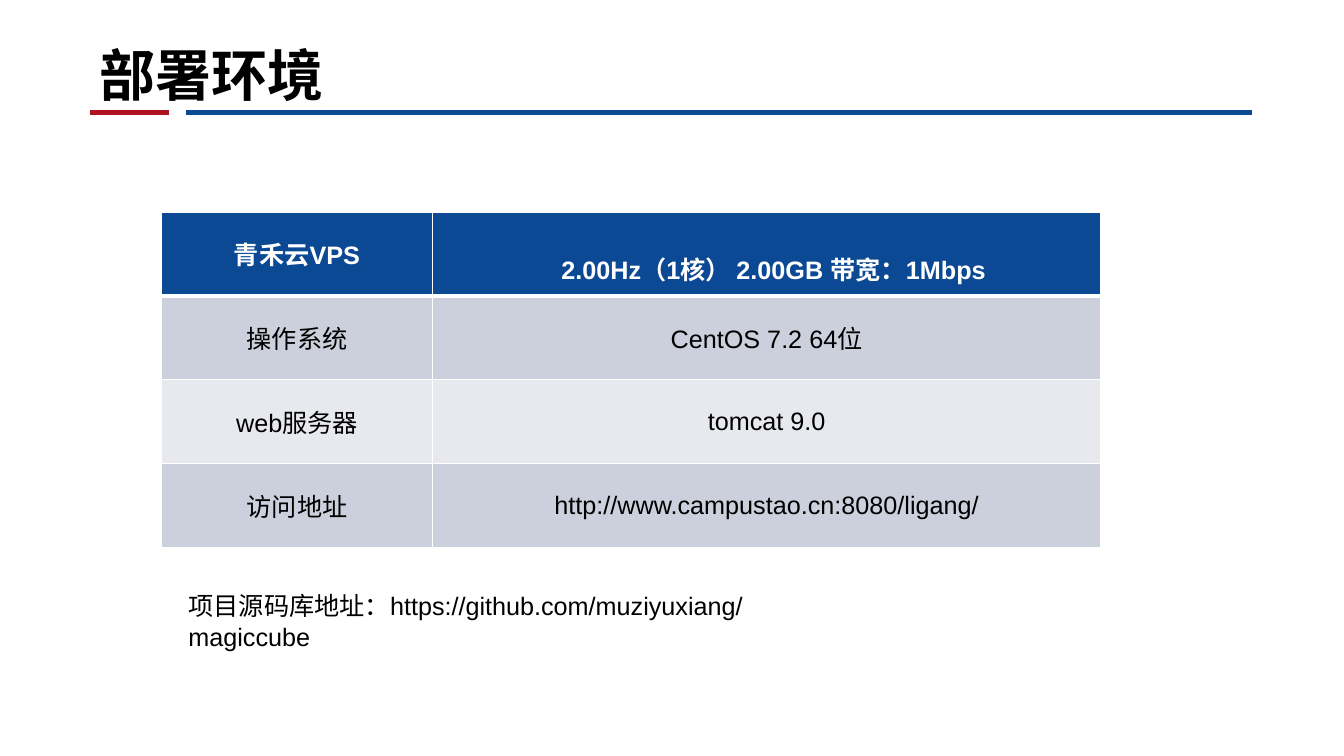
from pptx import Presentation
from pptx import util as u
from pptx.dml.color import RGBColor
from pptx.enum import shapes, text
from pptx.oxml.ns import qn
from lxml import etree

BLUE = RGBColor(0x0C, 0x49, 0x94)
RED = RGBColor(0xAE, 0x13, 0x24)
WHITE = RGBColor(0xFF, 0xFF, 0xFF)
BLACK = RGBColor(0, 0, 0)
BAND_DARK = RGBColor(0xCC, 0xD0, 0xDC)
BAND_LIGHT = RGBColor(0xE7, 0xE9, 0xEE)

ENVIRONMENT = [
    ("青禾云VPS", "2.00Hz（1核） 2.00GB 带宽：1Mbps"),
    ("操作系统", "CentOS 7.2 64位"),
    ("web服务器", "tomcat 9.0"),
    ("访问地址", "http://www.campustao.cn:8080/ligang/"),
]


def add_run(paragraph, wording, size, color, bold=False, font="Arial"):
    run = paragraph.add_run()
    run.text = wording
    run.font.size = u.Pt(size)
    run.font.name = font
    run.font.bold = bold
    run.font.color.rgb = color


def add_rule(slide, left, right, color):
    height = u.Cm(2.84)
    rule = slide.shapes.add_connector(
        shapes.MSO_CONNECTOR.STRAIGHT, u.Cm(left), height, u.Cm(right), height)
    rule.line.color.rgb = color
    rule.line.width = u.Pt(3.5)
    etree.SubElement(rule._element.spPr, qn("a:effectLst"))


def add_title(slide, wording):
    title = slide.shapes.title
    title.left, title.top = u.Cm(2.26), u.Cm(0)
    title.width, title.height = u.Cm(29.29), u.Cm(2.84)
    frame = title.text_frame
    frame.vertical_anchor = text.MSO_ANCHOR.BOTTOM
    frame.paragraphs[0].alignment = text.PP_ALIGN.LEFT
    add_run(frame.paragraphs[0], wording, 40, BLACK, True, "Arial Narrow")


def set_borders(cell, widths):
    properties = cell._tc.get_or_add_tcPr()
    for position, (side, width) in enumerate(widths.items()):
        border = etree.Element(qn(f"a:ln{side}"), w=str(u.Pt(width)))
        fill = etree.SubElement(border, qn("a:solidFill"))
        etree.SubElement(fill, qn("a:srgbClr"), val=str(WHITE))
        properties.insert(position, border)


def add_environment_table(slide, rows):
    table = slide.shapes.add_table(
        len(rows), 2, u.Cm(4.07), u.Cm(5.34), u.Cm(23.67), u.Cm(8.46)).table
    table.columns[0].width = u.Cm(6.83)
    table.columns[1].width = u.Cm(16.84)
    for index, row in enumerate(rows):
        header = index == 0
        band = BAND_DARK if index % 2 else BAND_LIGHT
        for column, wording in enumerate(row):
            cell = table.cell(index, column)
            cell.fill.solid()
            cell.fill.fore_color.rgb = BLUE if header else band
            cell.vertical_anchor = text.MSO_ANCHOR.MIDDLE
            paragraph = cell.text_frame.paragraphs[0]
            paragraph.alignment = text.PP_ALIGN.CENTER
            add_run(paragraph, wording, 18, WHITE if header else BLACK, header)
            set_borders(cell, {"L": 1, "R": 1, "T": 3 if index == 1 else 1,
                               "B": 3 if header else 1})
    hardware = table.cell(0, 1)
    hardware.margin_top = u.Cm(0.84)
    hardware.margin_left = u.Cm(0.6)


def add_repository_note(slide, wording):
    note = slide.shapes.add_textbox(
        u.Cm(4.5), u.Cm(14.76), u.Cm(17.37), u.Cm(1.02))
    note.text_frame.word_wrap = True
    add_run(note.text_frame.paragraphs[0], wording, 18, BLACK)


def main():
    deck = Presentation()
    deck.slide_width, deck.slide_height = u.Cm(33.87), u.Cm(19.05)
    slide = deck.slides.add_slide(deck.slide_layouts[5])
    add_rule(slide, 2.27, 4.25, RED)
    add_rule(slide, 4.68, 31.55, BLUE)
    add_title(slide, "部署环境")
    add_environment_table(slide, ENVIRONMENT)
    add_repository_note(
        slide, "项目源码库地址：https://github.com/muziyuxiang/magiccube")
    deck.save("out.pptx")


if __name__ == "__main__":
    main()
